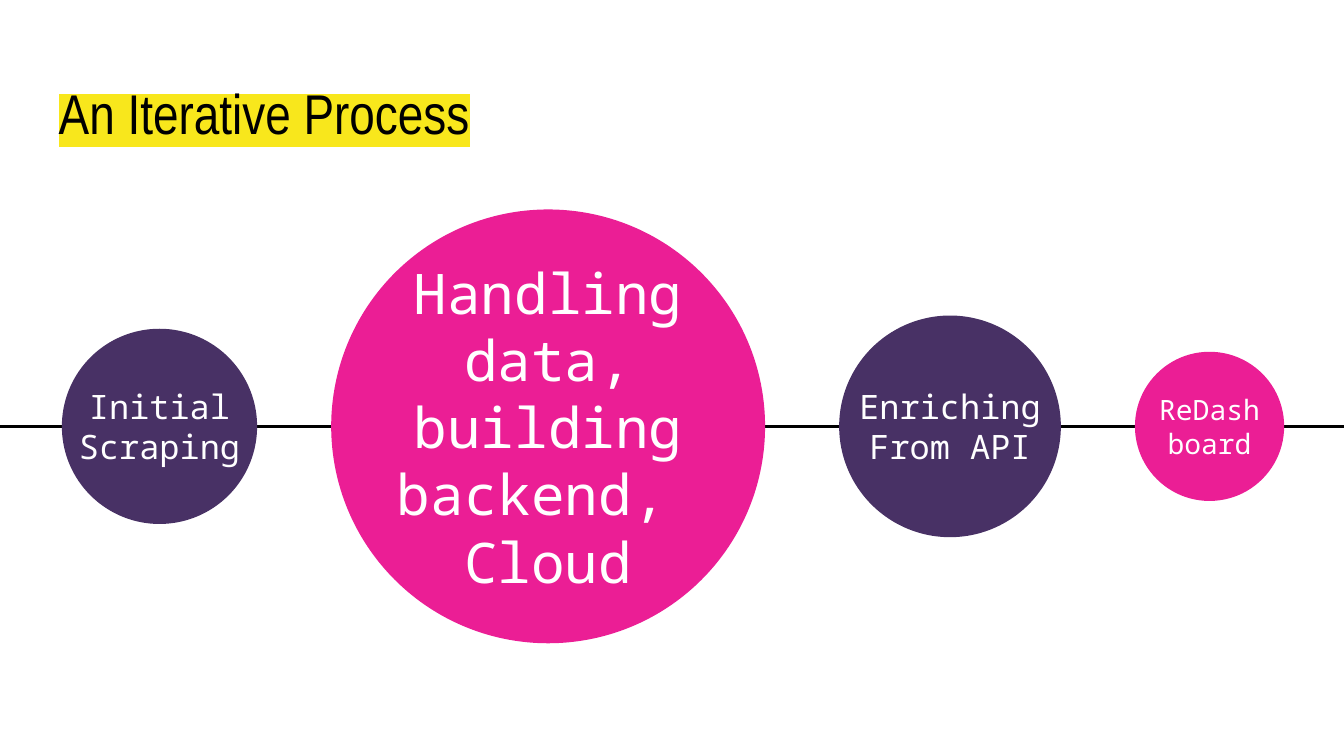
import pptx
import pptx.dml.color
import pptx.enum.shapes
import pptx.enum.text
import pptx.oxml
import pptx.oxml.ns
import pptx.util
from pptx.util import Cm

BLACK = pptx.dml.color.RGBColor(0x00, 0x00, 0x00)
WHITE = pptx.dml.color.RGBColor(0xFF, 0xFF, 0xFF)
YELLOW = pptx.dml.color.RGBColor(0xF8, 0xE7, 0x1C)
PURPLE = pptx.dml.color.RGBColor(0x48, 0x31, 0x65)
PINK = pptx.dml.color.RGBColor(0xEB, 0x1E, 0x95)

SLIDE_WIDTH = 25.4
AXIS = 8.06
FIRST_LEFT = 1.17
GAP = 1.4
LABEL_HEIGHT = 1.68
INSET = Cm(0.25)

# Diameter in cm, fill, text size, lines of the label
STAGES = [
    (3.69, PURPLE, 18, ["Initial", "Scraping"]),
    (8.2, PINK, 30, ["Handling data, building backend, ", "Cloud"]),
    (4.19, PURPLE, 18, ["Enriching", "From API"]),
    (2.82, PINK, 15, ["ReDash board"]),
]


def write_line(para, text, *, size, font, color, align, highlight=None):
    para.alignment = align
    span = para.add_run()
    span.text = text
    span.font.size = pptx.util.Pt(size)
    span.font.name = font
    span.font.color.rgb = color
    if highlight is not None:
        mark = pptx.oxml.parse_xml(
            f'<a:highlight {pptx.oxml.ns.nsdecls("a")}><a:srgbClr val="{highlight}"/></a:highlight>'
        )
        # The highlight must follow the solid fill
        span.font._element.find(pptx.oxml.ns.qn("a:solidFill")).addnext(mark)


deck = pptx.Presentation()
deck.slide_width = Cm(SLIDE_WIDTH)
deck.slide_height = Cm(14.29)
page = deck.slides.add_slide(deck.slide_layouts[5])

# Timeline behind the circles
timeline = page.shapes.add_connector(
    pptx.enum.shapes.MSO_CONNECTOR.STRAIGHT, Cm(0), Cm(AXIS), Cm(SLIDE_WIDTH), Cm(AXIS)
)
timeline.line.color.rgb = BLACK
timeline.line.width = pptx.util.Pt(1.5)
timeline._element.spPr.append(
    pptx.oxml.parse_xml(f'<a:effectLst {pptx.oxml.ns.nsdecls("a")}/>')
)

# Title
title = page.shapes.title
title.left, title.top, title.width, title.height = Cm(0.86), Cm(1.24), Cm(23.67), Cm(1.6)
frame = title.text_frame
frame.word_wrap = True
frame.auto_size = pptx.enum.text.MSO_AUTO_SIZE.NONE
frame.vertical_anchor = pptx.enum.text.MSO_ANCHOR.TOP
frame.margin_left = frame.margin_right = INSET
frame.margin_top = frame.margin_bottom = INSET
write_line(frame.paragraphs[0], "An Iterative Process", size=30, font="Arial Narrow",
           color=BLACK, align=pptx.enum.text.PP_ALIGN.LEFT, highlight=YELLOW)

# Circles centred on the timeline with equal gaps, each with its label
left = FIRST_LEFT
for diameter, color, size, lines in STAGES:
    circle = page.shapes.add_shape(
        pptx.enum.shapes.MSO_SHAPE.OVAL,
        Cm(left), Cm(AXIS - diameter / 2), Cm(diameter), Cm(diameter),
    )
    circle.shadow.inherit = False
    circle.fill.solid()
    circle.fill.fore_color.rgb = color
    circle.line.fill.background()

    box = page.shapes.add_textbox(
        Cm(left), Cm(AXIS - LABEL_HEIGHT / 2), Cm(diameter), Cm(LABEL_HEIGHT)
    )
    frame = box.text_frame
    frame.word_wrap = True
    frame.vertical_anchor = pptx.enum.text.MSO_ANCHOR.MIDDLE
    frame.margin_left = frame.margin_right = INSET
    frame.margin_top = frame.margin_bottom = INSET
    for index, line in enumerate(lines):
        para = frame.add_paragraph() if index else frame.paragraphs[0]
        write_line(para, line, size=size, font="Noto Sans Mono",
                   color=WHITE, align=pptx.enum.text.PP_ALIGN.CENTER)
    left += diameter + GAP

deck.save("out.pptx")
